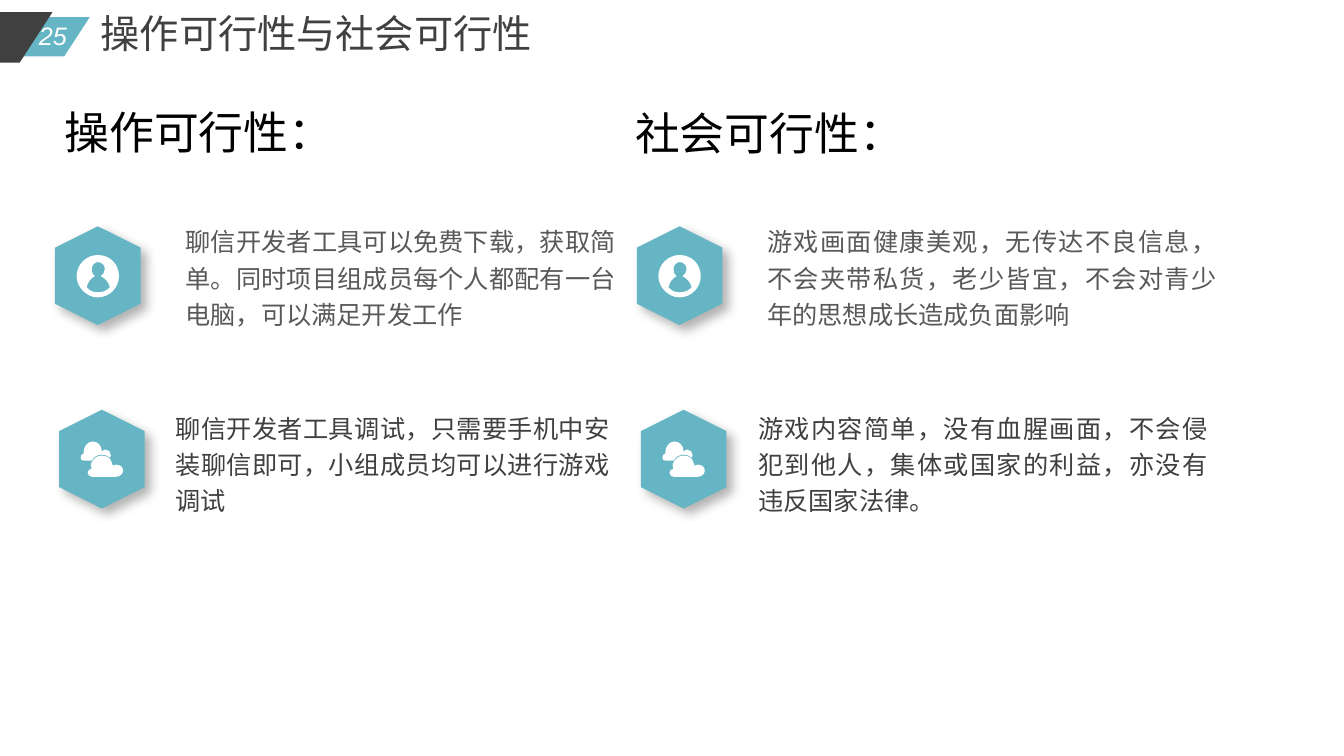
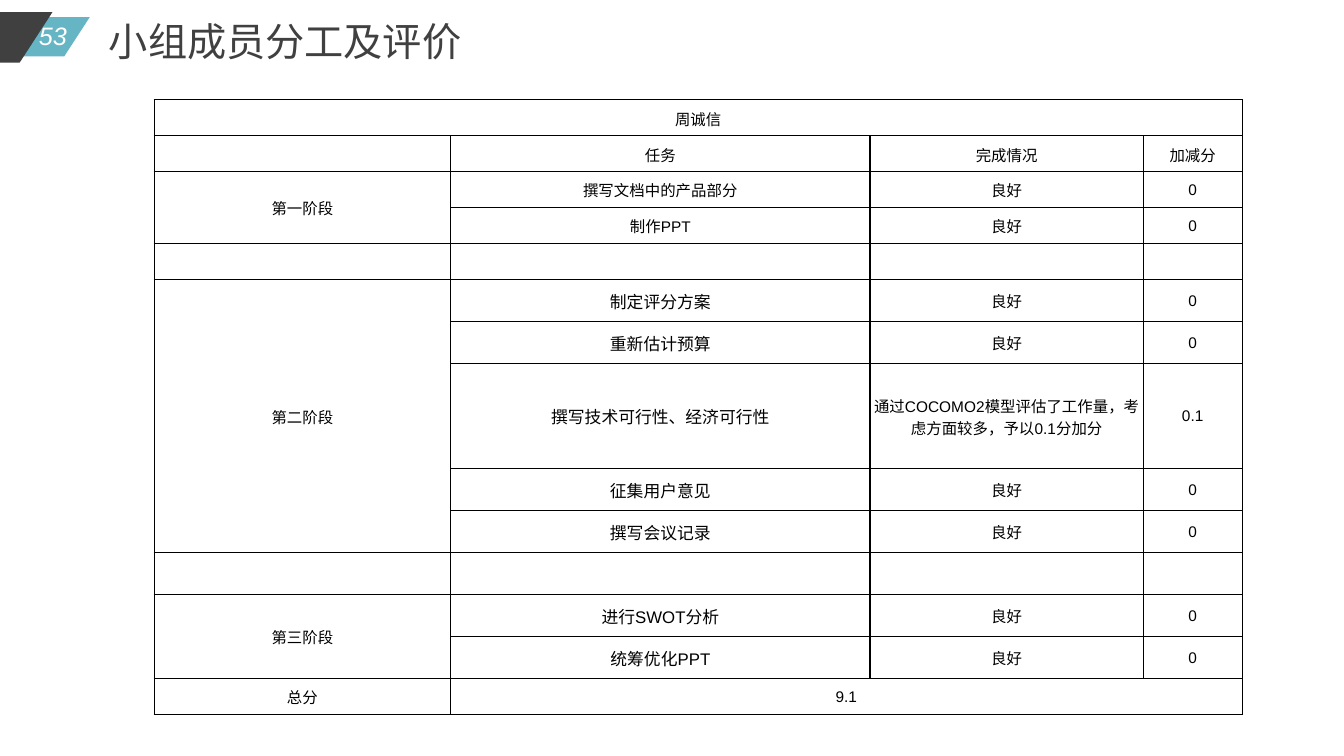
"""Builds a feasibility page and a team work table with a shared page header."""
from dataclasses import dataclass
from itertools import chain
from typing import NamedTuple

from lxml.etree import SubElement
from pptx import Presentation
from pptx.dml.color import RGBColor
from pptx.enum.shapes import MSO_SHAPE as Preset
from pptx.enum.text import MSO_ANCHOR as Anchor, MSO_AUTO_SIZE as AutoSize, PP_ALIGN as Align
from pptx.oxml import parse_xml
from pptx.oxml.ns import nsdecls, qn
from pptx.slide import Slide, SlideLayout
from pptx.text.text import TextFrame
from pptx.util import Inches, Pt


@dataclass(frozen=True)
class Theme:
    """Colours, fonts and type sizes of the deck."""
    teal: str = "66B5C4"
    dark: str = "404040"
    grey: str = "595959"
    black: str = "000000"
    white: str = "FFFFFF"
    latin: str = "Arial"
    chinese: str = "Noto Sans CJK SC"
    title: int = 28
    heading: int = 32
    body: int = 18
    cell: int = 11
    task: int = 12


class Area(NamedTuple):
    """A rectangle in inches."""
    left: float
    top: float
    width: float
    height: float

    def lengths(self) -> list[int]:
        return [Inches(value) for value in self]


class Style(NamedTuple):
    """The look of one paragraph."""
    size: int
    color: str
    font: str
    align: Align = Align.LEFT
    italic: bool = False
    spacing: float = 1.0


class Band(NamedTuple):
    """A slanted band of the page header."""
    area: Area
    color: str


class Contour(NamedTuple):
    """A closed outline in hundredths of an inch: a start and its line or Bézier steps."""
    start: tuple[int, int]
    steps: list[tuple[int, ...]]


class Icon(NamedTuple):
    """Contours and their place from the corner of the hexagon."""
    dx: float
    dy: float
    contours: list[Contour]


class Point(NamedTuple):
    """One argument beside a hexagon."""
    icon: Icon
    left: float
    top: float
    text_area: Area
    color: str
    text: str


class Heading(NamedTuple):
    """A column heading."""
    area: Area
    text: str


class Row(NamedTuple):
    """A table row."""
    height: float
    cells: tuple[str, ...]
    task_size: int


THEME = Theme()
BANDS = [Band(Area(-1.1, 0.17, 1.99, 0.39), THEME.teal), Band(Area(-2.08, 0.12, 2.6, 0.5), THEME.dark)]
TITLE = Style(THEME.title, THEME.dark, THEME.chinese)
NUMBER = Style(THEME.body, THEME.white, THEME.latin, Align.CENTER, True)
HEADING = Style(THEME.heading, THEME.black, THEME.latin)

PERSON = Icon(0.28, 0.22, [
    Contour((21, 0), [(10, 0, 0, 9, 0, 21), (0, 32, 10, 42, 21, 42),
                      (33, 42, 42, 32, 42, 21), (42, 9, 33, 0, 21, 0)]),
    Contour((32, 33), [(29, 36, 25, 37, 21, 37), (17, 37, 14, 36, 11, 33), (10, 33, 10, 32, 10, 32),
                       (11, 27, 14, 23, 18, 21), (16, 20, 15, 17, 15, 14), (15, 10, 18, 7, 21, 7),
                       (25, 7, 28, 10, 28, 14), (28, 17, 26, 20, 24, 21), (28, 23, 32, 27, 33, 32),
                       (33, 32, 33, 33, 32, 33)]),
])
CLOUDS = Icon(0.28, 0.25, [
    Contour((21, 14), [(24, 14, 27, 15, 29, 17), (30, 19, 31, 21, 32, 24), (33, 23, 34, 23, 35, 23),
                       (39, 23, 42, 25, 42, 29), (42, 32, 39, 35, 35, 35), (11, 35),
                       (9, 35, 7, 33, 7, 31), (7, 29, 9, 27, 11, 27), (11, 26, 10, 25, 10, 24),
                       (10, 22, 11, 21, 12, 19), (14, 16, 17, 14, 21, 14)]),
    Contour((12, 0), [(17, 0, 21, 4, 21, 10), (22, 9, 23, 8, 25, 8), (28, 8, 30, 11, 30, 14),
                      (30, 15, 30, 15, 29, 16), (27, 14, 24, 13, 21, 13), (17, 13, 13, 15, 11, 19),
                      (3, 19), (1, 19, 0, 18, 0, 16), (0, 14, 1, 12, 3, 12), (3, 12, 3, 11, 3, 10),
                      (3, 5, 7, 0, 12, 0)]),
])
HEADINGS = [Heading(Area(0.54, 0.99, 3.71, 0.64), "操作可行性："),
            Heading(Area(6.2, 1, 3.71, 0.64), "社会可行性：")]
POINTS = [
    Point(PERSON, 0.48, 2.31, Area(1.84, 2.19, 4.27, 1.04), THEME.grey,
          "聊信开发者工具可以免费下载，获取简单。同时项目组成员每个人都配有一台电脑，可以满足开发工作"),
    Point(CLOUDS, 0.52, 4.13, Area(1.74, 4.04, 4.31, 1.04), THEME.dark,
          "聊信开发者工具调试，只需要手机中安装聊信即可，小组成员均可以进行游戏调试"),
    Point(PERSON, 6.25, 2.31, Area(7.61, 2.19, 4.46, 1.04), THEME.grey,
          "游戏画面健康美观，无传达不良信息，不会夹带私货，老少皆宜，不会对青少年的思想成长造成负面影响"),
    Point(CLOUDS, 6.29, 4.13, Area(7.52, 4.04, 4.46, 1.04), THEME.dark,
          "游戏内容简单，没有血腥画面，不会侵犯到他人，集体或国家的利益，亦没有违反国家法律。"),
]

TABLE_AREA = Area(1.53, 0.99, 10.79, 6.1)
COLUMNS = [2.94, 4.16, 2.71, 0.98]
BLANK = ("", "", "", "")
LOW, MEDIUM, HIGH = (points / 72 for points in (25.7, 30, 75))
ROWS = [
    Row(LOW, ("周诚信", "", "", ""), THEME.cell),
    Row(LOW, ("", "任务", "完成情况", "加减分"), THEME.cell),
    Row(LOW, ("第一阶段", "撰写文档中的产品部分", "良好", "0"), THEME.cell),
    Row(LOW, ("", "制作PPT", "良好", "0"), THEME.cell),
    Row(LOW, BLANK, THEME.cell),
    Row(MEDIUM, ("第二阶段", "制定评分方案", "良好", "0"), THEME.task),
    Row(MEDIUM, ("", "重新估计预算", "良好", "0"), THEME.task),
    Row(HIGH, ("", "撰写技术可行性、经济可行性",
               "通过COCOMO2模型评估了工作量，考虑方面较多，予以0.1分加分", "0.1"), THEME.task),
    Row(MEDIUM, ("", "征集用户意见", "良好", "0"), THEME.task),
    Row(MEDIUM, ("", "撰写会议记录", "良好", "0"), THEME.task),
    Row(MEDIUM, BLANK, THEME.task),
    Row(MEDIUM, ("第三阶段", "进行SWOT分析", "良好", "0"), THEME.task),
    Row(MEDIUM, ("", "统筹优化PPT", "良好", "0"), THEME.task),
    Row(LOW, ("总分", "9.1", "", ""), THEME.cell),
]
MERGES = [((0, 0), (0, 3)), ((2, 0), (3, 0)), ((5, 0), (9, 0)), ((11, 0), (12, 0)), ((13, 1), (13, 3))]


def write(frame: TextFrame, text: str, style: Style) -> None:
    """Fill a text frame with one styled paragraph."""
    frame.text = text
    para = frame.paragraphs[0]
    para.alignment = style.align
    para.line_spacing = style.spacing
    font = para.font
    font.size = Pt(style.size)
    font.name = style.font
    font.italic = style.italic
    font.color.rgb = RGBColor.from_string(style.color)
    latin = para._p.find(f".//{qn('a:latin')}")
    latin.addnext(parse_xml(f'<a:ea {nsdecls("a")} typeface="{THEME.chinese}"/>'))


def add_text(page: Slide, area: Area, text: str, style: Style, margin: bool = True, wrap: bool = True) -> None:
    """Add a text box."""
    frame = page.shapes.add_textbox(*area.lengths()).text_frame
    frame.word_wrap = wrap
    if not margin:
        frame.margin_left = frame.margin_top = frame.margin_right = frame.margin_bottom = 0
    write(frame, text, style)


def paint(shape, color: str) -> None:
    """Give a shape a plain fill without line or shadow."""
    shape.fill.solid()
    shape.fill.fore_color.rgb = RGBColor.from_string(color)
    shape.line.fill.background()
    shape.shadow.inherit = False


def move_bands_to_layout(page: Slide, layout: SlideLayout) -> None:
    """Draw the header bands and hand them to the layout."""
    for index, band in enumerate(BANDS):
        shape = page.shapes.add_shape(Preset.PARALLELOGRAM, *band.area.lengths())
        shape.adjustments[0] = 0.65
        shape.rotation = 180
        paint(shape, band.color)
        shape.element.xpath(".//p:cNvPr")[0].set("id", str(50 + index))
        layout.shapes.element.insert(2 + index, shape.element)


def add_header(page: Slide, number: str, title: str, area: Area) -> None:
    """Write the page number and the title."""
    add_text(page, Area(0.27, 0.15, 0.51, 0.4), number, NUMBER, wrap=False)
    box = page.shapes.title
    box.left, box.top, box.width, box.height = area.lengths()
    frame = box.text_frame
    frame.auto_size = AutoSize.NONE
    frame.vertical_anchor = Anchor.TOP
    write(frame, title, TITLE)


def bend(segment, step: tuple[int, ...]) -> None:
    """Turn a line segment into a Bézier curve when its step has control points."""
    if len(step) == 6:
        curve = parse_xml(f'<a:cubicBezTo {nsdecls("a")}/>')
        for x, y in zip(step[::2], step[1::2]):
            SubElement(curve, qn("a:pt"), x=str(x), y=str(y))
        segment.getparent().replace(segment, curve)


def add_icon(page: Slide, icon: Icon, left: float, top: float) -> None:
    """Draw a white icon as one freeform."""
    builder = page.shapes.build_freeform(*icon.contours[0].start, scale=Inches(1) / 100)
    for index, contour in enumerate(icon.contours):
        if index:
            builder.move_to(*contour.start)
        builder.add_line_segments([step[-2:] for step in contour.steps], close=True)
    shape = builder.convert_to_shape(Inches(left + icon.dx), Inches(top + icon.dy))
    steps = chain.from_iterable(contour.steps for contour in icon.contours)
    for segment, step in zip(shape.element.xpath(".//a:lnTo"), steps):
        bend(segment, step)
    paint(shape, THEME.white)


def add_point(page: Slide, point: Point) -> None:
    """Draw a shadowed hexagon with its icon and its text."""
    hexagon = page.shapes.add_shape(Preset.HEXAGON, *Area(point.left, point.top, 0.98, 0.85).lengths())
    hexagon.rotation = 90
    paint(hexagon, THEME.teal)
    effects = hexagon.element.spPr.find(qn("a:effectLst"))
    effects.append(parse_xml(
        f'<a:outerShdw {nsdecls("a")} blurRad="{Pt(8)}" dist="{Pt(6)}" dir="2700000" algn="tl" rotWithShape="0">'
        f'<a:srgbClr val="{THEME.black}"><a:alpha val="30000"/></a:srgbClr></a:outerShdw>'))
    add_icon(page, point.icon, point.left, point.top)
    style = Style(THEME.body, point.color, THEME.chinese, Align.JUSTIFY, spacing=1.2)
    add_text(page, point.text_area, point.text, style, margin=False)


def format_cell(cell) -> None:
    """Set the borders, fill and margins of a cell."""
    properties = cell._tc.get_or_add_tcPr()
    for side in ("lnL", "lnR", "lnT", "lnB"):
        line = SubElement(properties, qn(f"a:{side}"), w=str(Pt(1)))
        fill = SubElement(line, qn("a:solidFill"))
        SubElement(fill, qn("a:srgbClr"), val=THEME.black)
    cell.fill.solid()
    cell.fill.fore_color.rgb = RGBColor.from_string(THEME.white)
    cell.margin_left = cell.margin_right = cell.margin_top = Inches(0.01)
    cell.margin_bottom = 0
    cell.vertical_anchor = Anchor.MIDDLE


def add_work_table(page: Slide) -> None:
    """Add the table of tasks and scores."""
    table = page.shapes.add_table(len(ROWS), len(COLUMNS), *TABLE_AREA.lengths()).table
    table.first_row = table.horz_banding = False
    for column, width in zip(table.columns, COLUMNS):
        column.width = Inches(width)
    for row_index, row in enumerate(ROWS):
        table.rows[row_index].height = Inches(row.height)
        for column_index, text in enumerate(row.cells):
            cell = table.cell(row_index, column_index)
            format_cell(cell)
            if text:
                size = row.task_size if column_index == 1 else THEME.cell
                write(cell.text_frame, text, Style(size, THEME.black, THEME.latin, Align.CENTER))
    for first, last in MERGES:
        table.cell(*first).merge(table.cell(*last))


def main() -> None:
    """Build and save the deck."""
    deck = Presentation()
    deck.slide_width, deck.slide_height = Inches(13.33), Inches(7.5)
    layout = deck.slide_layouts.get_by_name("Title Only")
    feasibility, work = (deck.slides.add_slide(layout) for _ in range(2))
    move_bands_to_layout(feasibility, layout)
    add_header(feasibility, "25", "操作可行性与社会可行性", Area(0.9, 0.04, 4.51, 0.57))
    for heading in HEADINGS:
        add_text(feasibility, heading.area, heading.text, HEADING)
    for point in POINTS:
        add_point(feasibility, point)
    add_header(work, "53", "小组成员分工及评价", Area(0.98, 0.12, 3.74, 0.57))
    add_work_table(work)
    deck.save("out.pptx")


if __name__ == "__main__":
    main()
